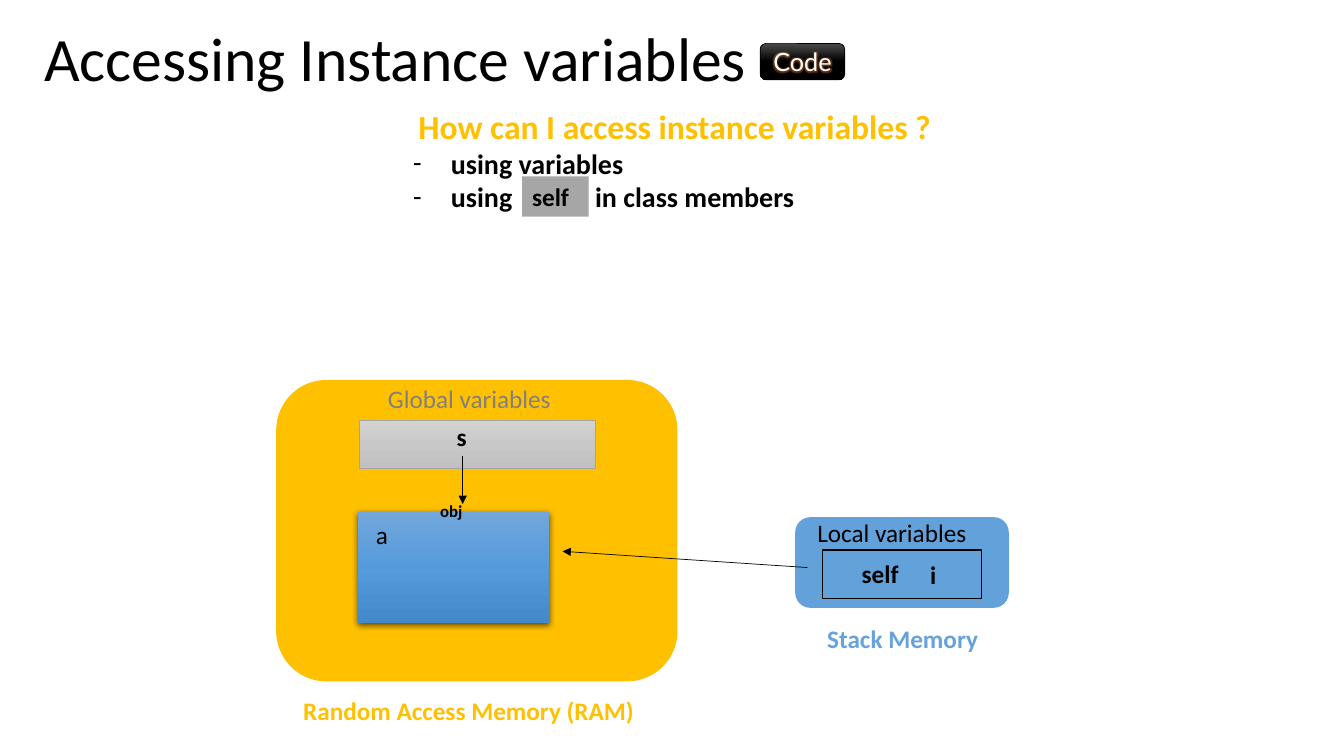
from lxml import etree
from pptx import Presentation
from pptx.dml.color import RGBColor
from pptx.enum.shapes import MSO_CONNECTOR as CONN, MSO_SHAPE as SHAPE
from pptx.enum.text import MSO_ANCHOR as ANCHOR, PP_ALIGN as ALIGN
from pptx.oxml import parse_xml
from pptx.oxml.ns import nsdecls, qn
from pptx.util import Pt

GOLD = "FFC000"


def rgb(value):
    """Turn a hex string into a colour."""
    return RGBColor.from_string(value)


def xml(tag, body="", **attrs):
    """Build one DrawingML element."""
    pairs = "".join(f' {k}="{v}"' for k, v in attrs.items())
    return parse_xml(f"<a:{tag} {nsdecls('a')}{pairs}>{body}</a:{tag}>")


def effect_color(value, alpha):
    """Give the markup of a partly transparent colour."""
    return f'<a:srgbClr val="{value}"><a:alpha val="{alpha * 1000}"/></a:srgbClr>'


def add_run(p, text, size=18, color="000000", bold=False, font="Calibri"):
    """Add a formatted run to a paragraph."""
    r = p.add_run()
    r.text = text
    r.font.size = Pt(size)
    r.font.bold = bold
    r.font.color.rgb = rgb(color)
    r.font.name = font
    return r


def set_text(s, text, align=ALIGN.LEFT, anchor=ANCHOR.TOP, wrap=True, **fmt):
    """Write one paragraph into a shape and return its run."""
    tf = s.text_frame
    tf.word_wrap = wrap
    tf.vertical_anchor = anchor
    p = tf.paragraphs[0]
    p.alignment = align
    return add_run(p, text, **fmt)


def add_label(sp, text, x, y, w, h=28.8, **fmt):
    """Add a text box with one paragraph."""
    s = sp.add_textbox(Pt(x), Pt(y), Pt(w), Pt(h))
    set_text(s, text, **fmt)
    return s


def add_bullet(tf, text, tab=None):
    """Append a dashed list item with an optional tab stop."""
    p = tf.add_paragraph()
    pPr = p._p.get_or_add_pPr()
    pPr.set("marL", str(Pt(27)))
    pPr.set("indent", str(-Pt(27)))
    pPr.append(xml("buFont", typeface="Calibri"))
    pPr.append(xml("buChar", char="-"))
    if tab:
        pPr.append(xml("tabLst", f'<a:tab pos="{Pt(tab)}" algn="l"/>'))
    add_run(p, text, size=20, bold=True)


def add_box(sp, kind, x, y, w, h, fill=None, line=None, width=0.5):
    """Add a shape with no fill, a plain fill or a list of gradient colours."""
    s = sp.add_shape(kind, Pt(x), Pt(y), Pt(w), Pt(h))
    s.shadow.inherit = False
    if fill is None:
        s.fill.background()
    elif isinstance(fill, str):
        s.fill.solid()
        s.fill.fore_color.rgb = rgb(fill)
    else:
        s.fill.gradient()
        s.fill.gradient_angle = 270
        stops = s._element.spPr.find(".//" + qn("a:gsLst"))
        for stop in list(stops):
            stops.remove(stop)
        for pos, color in zip((0, 50000, 100000), fill):
            stops.append(xml("gs", f'<a:srgbClr val="{color}"/>', pos=pos))
    if line:
        s.line.color.rgb = rgb(line)
        s.line.width = Pt(width)
    else:
        s.line.fill.background()
    return s


def add_arrow(sp, x1, y1, x2, y2):
    """Add a thin black arrow."""
    s = sp.add_connector(CONN.STRAIGHT, Pt(x1), Pt(y1), Pt(x2), Pt(y2))
    s.line.color.rgb = rgb("000000")
    s.line.width = Pt(0.5)
    s.line._get_or_add_ln().append(xml("tailEnd", type="triangle"))
    etree.SubElement(s._element.spPr, qn("a:effectLst"))


def add_header(sp):
    """Add the title, the code button and the list of answers."""
    title = add_label(sp, "Accessing Instance variables", 24.5, 12.2, 828, 64,
                      size=44, anchor=ANCHOR.MIDDLE)
    title.text_frame.paragraphs[0].line_spacing = 0.9
    button = add_box(sp, SHAPE.ROUNDED_RECTANGLE, 543, 31, 60.5, 26,
                     ("4B4B4B", "000000", "000000"), "000000")
    r = set_text(button, "Code", font="Lato", color="FFFFFF",
                 align=ALIGN.CENTER, anchor=ANCHOR.MIDDLE, wrap=False)
    glow = f'<a:glow rad="{Pt(5)}">{effect_color("ED7D31", 40)}</a:glow>'
    r.font._element.find(qn("a:solidFill")).addnext(xml("effectLst", glow))

    answers = add_label(sp, "How can I access instance variables ?", 288, 72, 388, 85,
                        size=24, color=GOLD, bold=True, align=ALIGN.CENTER)
    add_bullet(answers.text_frame, "using variables")
    add_bullet(answers.text_frame, "using\tin class members", tab=130)
    keyword = add_box(sp, SHAPE.RECTANGLE, 373, 126, 47.5, 28.8, "A6A6A6")
    set_text(keyword, "self", bold=True)


def add_ram(sp):
    """Add the memory block with the global variables and the object."""
    add_box(sp, SHAPE.ROUNDED_RECTANGLE, 197.3, 271.4, 286.6, 215.3, GOLD)
    add_box(sp, SHAPE.RECTANGLE, 257, 300.2, 168.5, 34.6,
            ("D2D2D2", "C8C8C8", "C0C0C0"), "A5A5A5")
    add_label(sp, "Random Access Memory (RAM)", 209.5, 493, 252.7,
              color=GOLD, bold=True, wrap=False)
    add_label(sp, "s", 319, 297.4, 22.3, bold=True, wrap=False)
    add_arrow(sp, 330.5, 325.4, 330.5, 360)
    add_label(sp, "Global variables", 270, 270, 132.5, color="808080", wrap=False)
    obj = add_box(sp, SHAPE.RECTANGLE, 255.6, 365.8, 136.8, 79.2,
                  ("71A6DB", "559BDB", "448ACA"))
    obj._element.spPr.find(qn("a:effectLst")).append(
        xml("outerShdw", effect_color("000000", 63), blurRad=Pt(4.5),
            dist=Pt(1.5), dir=5400000, algn="ctr", rotWithShape=0))
    add_label(sp, "obj", 307.4, 354.2, 31, 21.6, size=12, bold=True, wrap=False)
    add_label(sp, "a", 261.4, 367.2, 23, wrap=False)


def add_stack(sp):
    """Add the stack block with the local variables."""
    add_box(sp, SHAPE.ROUNDED_RECTANGLE, 568, 369.4, 152.6, 64.8, "63A1DB")
    add_box(sp, SHAPE.RECTANGLE, 587.5, 393, 113.8, 34.6, line="000000", width=1)
    add_label(sp, "Local variables", 576.7, 365.8, 136.8)
    add_label(sp, "self", 608.4, 395.3, 51.8, bold=True)
    add_label(sp, "Stack Memory", 562.3, 441.4, 164.9,
              color="68A2DB", bold=True, align=ALIGN.CENTER)
    add_label(sp, "i", 657.4, 396, 18.7, bold=True, wrap=False)


def main():
    """Build and save the slide."""
    prs = Presentation()
    prs.slide_width, prs.slide_height = Pt(960), Pt(540)
    sp = prs.slides.add_slide(prs.slide_layouts[6]).shapes
    add_header(sp)
    add_ram(sp)
    add_stack(sp)
    add_arrow(sp, 576.7, 405.4, 401.8, 393.8)
    prs.save("out.pptx")


if __name__ == "__main__":
    main()
